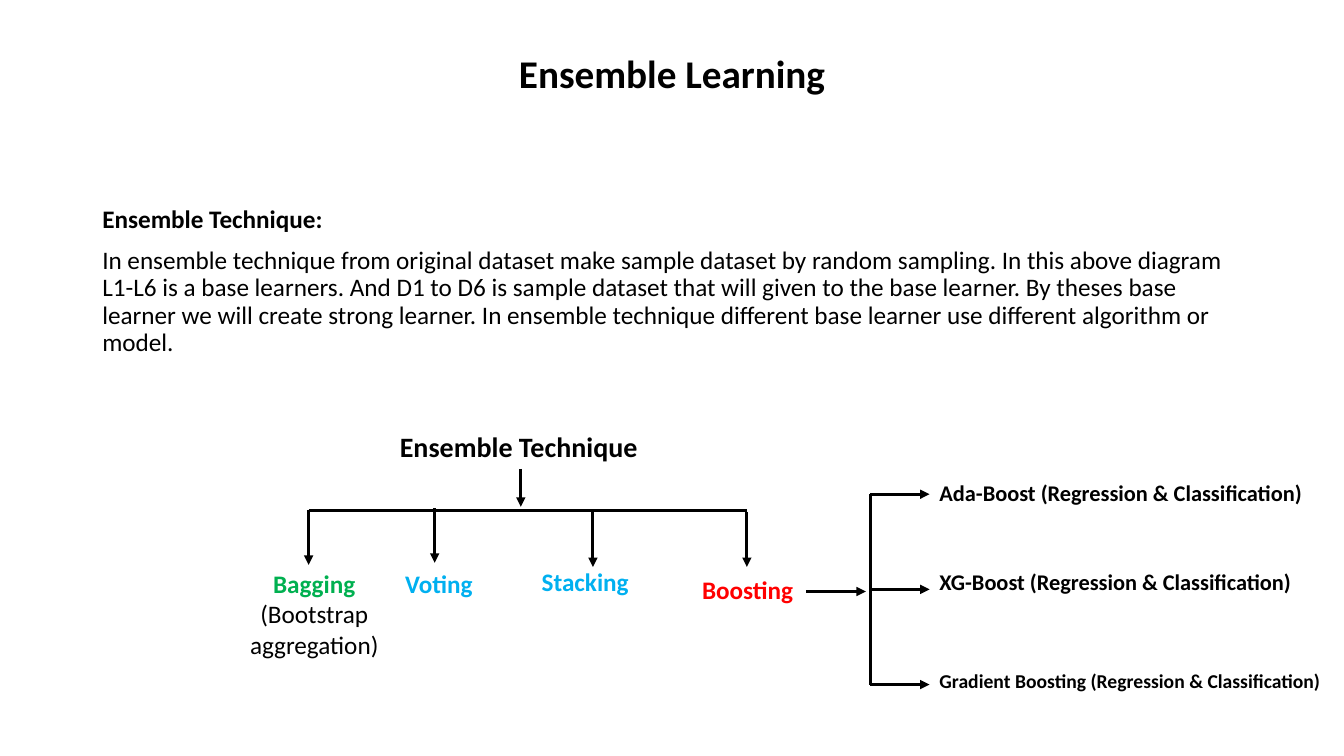
from pptx import Presentation
from pptx import util as u
from pptx.dml.color import RGBColor
from pptx.enum import shapes, text
from pptx.oxml.ns import qn
from lxml import etree

COLORS = {"black": "000000", "green": "00B050", "blue": "00B0F0", "red": "FF0000"}


class SlideBuilder:
    font = "Calibri"
    line_width = 2.25

    def __init__(self, page):
        self.page = page

    def place(self, box, left, top, width, height):
        box.left, box.top = u.Pt(left), u.Pt(top)
        box.width, box.height = u.Pt(width), u.Pt(height)

    def format_span(self, span, size, color="black", bold=True):
        span.font.name = self.font
        span.font.size = u.Pt(size)
        span.font.bold = bold
        span.font.color.rgb = RGBColor.from_string(COLORS[color])

    def title(self, words, area, size):
        box = self.page.shapes.title
        self.place(box, *area)
        frame = box.text_frame
        frame.text = words
        frame.word_wrap = True
        frame.auto_size = text.MSO_AUTO_SIZE.NONE
        frame.vertical_anchor = text.MSO_ANCHOR.MIDDLE
        para = frame.paragraphs[0]
        para.alignment = text.PP_ALIGN.CENTER
        para.line_spacing = 0.9
        self.format_span(para.runs[0], size)

    def text_box(self, words, area, size, color="black", wrap=False, centered=False):
        box = self.page.shapes.add_textbox(*map(u.Pt, area))
        frame = box.text_frame
        frame.text = words
        frame.word_wrap = wrap
        frame.auto_size = text.MSO_AUTO_SIZE.SHAPE_TO_FIT_TEXT
        para = frame.paragraphs[0]
        if centered:
            para.alignment = text.PP_ALIGN.CENTER
        self.format_span(para.runs[0], size, color)
        return box

    def body(self, heading, details, area, size):
        frame = self.text_box(heading, area, size, wrap=True).text_frame
        frame.auto_size = text.MSO_AUTO_SIZE.NONE
        para = frame.add_paragraph()
        para.text = details
        self.format_span(para.runs[0], size, bold=False)
        for para in frame.paragraphs:
            para.line_spacing = 0.9
            para.space_before = u.Pt(10)

    def branch_label(self, words, left, top, height, color, note=""):
        box = self.text_box(words, (left, top, 109, height), 18, color, True, True)
        if note:
            span = box.text_frame.paragraphs[0].add_run()
            span.text = note
            self.format_span(span, 18, bold=False)

    def line(self, x1, y1, x2, y2, arrow=False):
        connector = self.page.shapes.add_connector(
            shapes.MSO_CONNECTOR.STRAIGHT, *map(u.Pt, (x1, y1, x2, y2)))
        connector.line.width = u.Pt(self.line_width)
        connector.line.color.rgb = RGBColor.from_string(COLORS["black"])
        if arrow:
            outline = connector.line._get_or_add_ln()
            etree.SubElement(outline, qn("a:tailEnd"), type="triangle")
        etree.SubElement(connector._element.spPr, qn("a:effectLst"))


def main():
    deck = Presentation()
    deck.slide_width, deck.slide_height = u.Pt(960), u.Pt(540)
    slide = SlideBuilder(deck.slides.add_slide(deck.slide_layouts[5]))

    slide.title("Ensemble Learning", (66, 29.5, 828, 49), 28)
    slide.body(
        "Ensemble Technique:",
        "In ensemble technique from original dataset make sample dataset by random "
        "sampling. In this above diagram L1-L6 is a base learners. And D1 to D6 is "
        "sample dataset that will given to the base learner. By theses base learner "
        "we will create strong learner. In ensemble technique different base learner "
        "use different algorithm or model.",
        (66, 144, 828, 126), 18)

    slide.text_box("Ensemble Technique", (278.5, 303, 186, 31.5), 20)
    slide.line(372, 335, 372, 362, arrow=True)
    slide.line(220.5, 364.5, 533.5, 364.5)

    branches = [
        ("Bagging", "green", 220.5, 364.5, 170, 402.5, 73, " (Bootstrap aggregation)"),
        ("Voting", "blue", 310.5, 363, 259, 402.5, 29, ""),
        ("Stacking", "blue", 423.5, 366, 363.5, 401, 29, ""),
        ("Boosting", "red", 533.5, 366, 479.5, 407, 29, ""),
    ]
    for words, color, x, y, left, top, height, note in branches:
        slide.line(x, y, x, y + 39, arrow=True)
        slide.branch_label(words, left, top, height, color, note)

    spine, label_left, first, step = 621.5, 664, 353, 68
    slide.line(576, 422.5, 618.5, 422.5, arrow=True)
    slide.line(spine, first, spine, first + 2 * step)
    boosters = [
        ("Ada-Boost", 338.5, 277, 26.5, 16),
        ("XG-Boost", 402.5, 269, 26.5, 16),
        ("Gradient Boosting", 474.5, 289, 24.5, 14),
    ]
    for index, (name, top, width, height, size) in enumerate(boosters):
        y = first + index * step
        slide.line(spine, y, label_left, y, arrow=True)
        slide.text_box(f"{name} (Regression & Classification)",
                       (label_left, top, width, height), size)

    deck.save("out.pptx")


if __name__ == "__main__":
    main()
